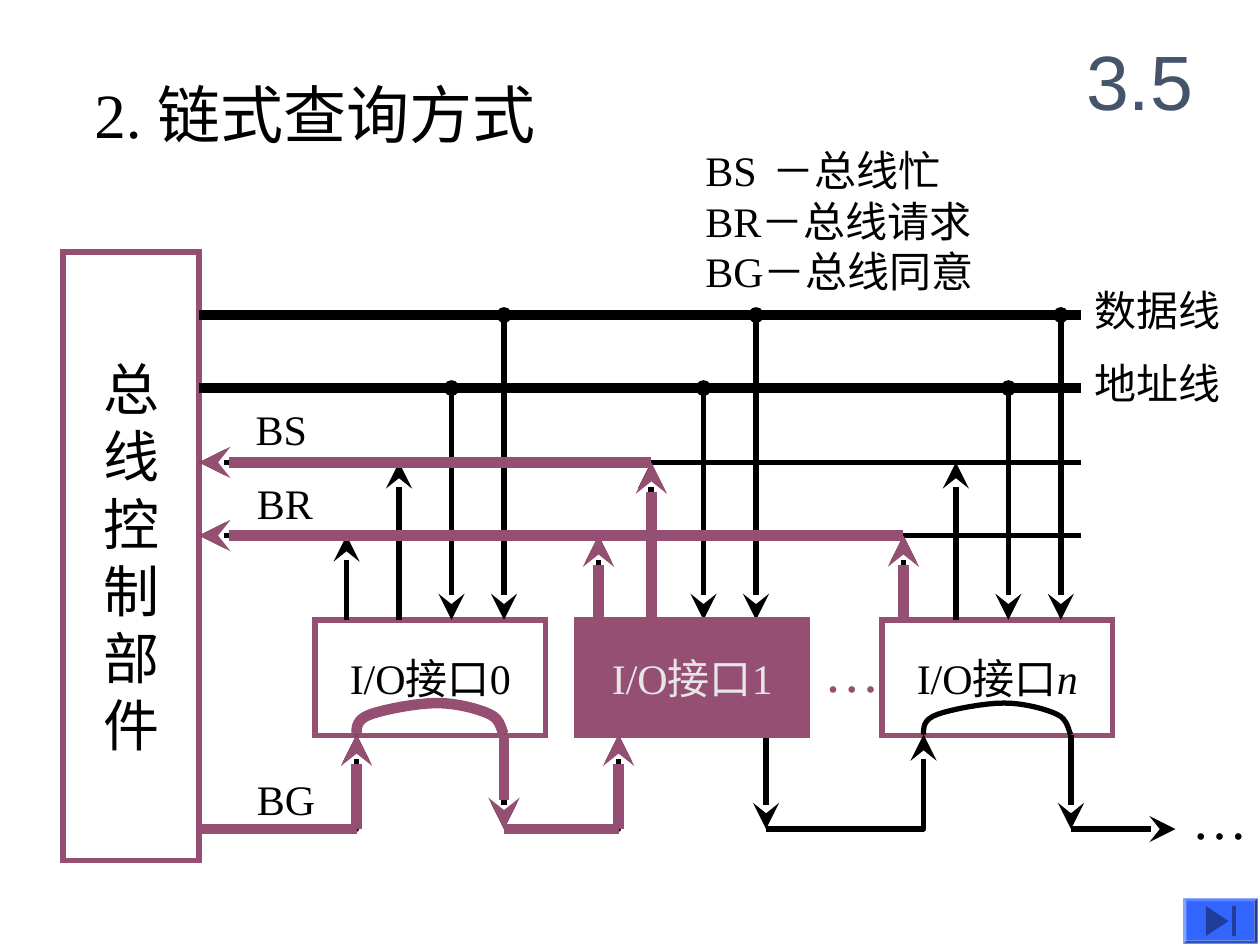
from dataclasses import dataclass
from typing import Optional

from lxml import etree
from pptx import Presentation
from pptx import util as u
from pptx.dml.color import RGBColor
from pptx.enum import shapes, text
from pptx.oxml.ns import qn


@dataclass(frozen=True)
class Theme:
    ink: str = "000000"
    accent: str = "954F72"
    pale: str = "E7E6E6"
    section: str = "44546A"
    button: str = "3366FF"
    button_icon: str = "1F3D99"
    serif: str = "Times New Roman"
    sans: str = "Arial"
    label: int = 24
    large: int = 32
    title: int = 36
    section_size: int = 44
    thin: float = 3
    thick: float = 6


THEME = Theme()
Point = tuple[float, float]


@dataclass(frozen=True)
class Wire:
    points: tuple[Point, ...]
    color: str = THEME.ink
    width: float = THEME.thin
    start: Optional[str] = None
    end: Optional[str] = "stealth"


@dataclass(frozen=True)
class Label:
    lines: tuple[str, ...]
    left: float
    top: float
    width: float
    height: float
    size: int = THEME.label
    color: str = THEME.ink
    font: str = THEME.serif
    centred: bool = False
    wrap: bool = False


@dataclass(frozen=True)
class Interface:
    number: str
    left: float
    first_wire: float


DATA, ADDRESS, BUSY, REQUEST = 2.5, 3.08, 3.67, 4.25
PORT_TOP, PORT_BOTTOM, GRANT = 4.92, 5.83, 6.58
PORT_WIDTH, PORT_HEIGHT = 1.83, 0.92
CONTROL_EDGE, BUS_END = 1.58, 8.58
GRANT_IN, GRANT_OUT = 0.33, 1.5
INTERFACES = (
    Interface("0", 2.5, 2.75),
    Interface("1", 4.58, 4.75),
    Interface("n", 7, 7.17),
)
ARC = (
    ((0, 0), (0, -0.06), (0, -0.12), (0.11, -0.16)),
    ((0.11, -0.16), (0.22, -0.2), (0.48, -0.25), (0.64, -0.25)),
    ((0.64, -0.25), (0.8, -0.25), (0.98, -0.2), (1.06, -0.16)),
    ((1.06, -0.16), (1.15, -0.12), (1.15, -0.02), (1.17, 0)),
)


def rgb(color: str) -> RGBColor:
    return RGBColor.from_string(color)


def bezier(curve: tuple[Point, ...], t: float) -> Point:
    weights = ((1 - t) ** 3, 3 * t * (1 - t) ** 2, 3 * t * t * (1 - t), t ** 3)
    return tuple(sum(w * p[axis] for w, p in zip(weights, curve)) for axis in (0, 1))


def arc_points(left: float) -> tuple[Point, ...]:
    steps = 8
    offsets = [ARC[0][0]] + [bezier(c, i / steps) for c in ARC for i in range(1, steps + 1)]
    return tuple((left + x, PORT_BOTTOM + y) for x, y in offsets)


def draw_wire(slide, wire: Wire) -> None:
    points = [(u.Inches(x), u.Inches(y)) for x, y in wire.points]
    if len(points) == 2:
        stroke = slide.shapes.add_connector(shapes.MSO_CONNECTOR.STRAIGHT, *points[0], *points[1])
        etree.SubElement(stroke._element.spPr, qn("a:effectLst"))
    else:
        builder = slide.shapes.build_freeform(*points[0])
        builder.add_line_segments(points[1:], close=False)
        stroke = builder.convert_to_shape()
        stroke.fill.background()
        stroke.shadow.inherit = False
    stroke.line.color.rgb = rgb(wire.color)
    stroke.line.width = u.Pt(wire.width)
    ln = stroke._element.spPr.find(qn("a:ln"))
    for tag, kind in (("a:headEnd", wire.start), ("a:tailEnd", wire.end)):
        if kind:
            large = kind == "stealth" and wire.width == THEME.thin
            scale = "lg" if large else "med"
            etree.SubElement(ln, qn(tag), type=kind, w=scale, len=scale)


def write_lines(frame, label: Label) -> None:
    frame.word_wrap = label.wrap
    if label.centred:
        frame.vertical_anchor = text.MSO_ANCHOR.MIDDLE
    for index, line in enumerate(label.lines):
        paragraph = frame.add_paragraph() if index else frame.paragraphs[0]
        paragraph.add_run().text = line
        paragraph.alignment = text.PP_ALIGN.CENTER if label.centred else text.PP_ALIGN.LEFT
        paragraph.font.name = label.font
        paragraph.font.size = u.Pt(label.size)
        paragraph.font.color.rgb = rgb(label.color)


def draw_label(slide, label: Label):
    area = map(u.Inches, (label.left, label.top, label.width, label.height))
    frame = slide.shapes.add_textbox(*area).text_frame
    write_lines(frame, label)
    if not label.centred:
        frame.auto_size = text.MSO_AUTO_SIZE.SHAPE_TO_FIT_TEXT
    return frame


def draw_block(slide, kind, area, fill: Optional[str] = None, line: Optional[str] = None):
    block = slide.shapes.add_shape(kind, *map(u.Inches, area))
    block.shadow.inherit = False
    if fill:
        block.fill.solid()
        block.fill.fore_color.rgb = rgb(fill)
    else:
        block.fill.background()
    if line:
        block.line.color.rgb = rgb(line)
        block.line.width = u.Pt(THEME.thin)
        etree.SubElement(block._element.spPr.find(qn("a:ln")), qn("a:miter"), lim="800000")
    else:
        block.line.fill.background()
    return block


def draw_box(slide, label: Label, fill: Optional[str] = None):
    area = (label.left, label.top, label.width, label.height)
    box = draw_block(slide, shapes.MSO_SHAPE.RECTANGLE, area, fill, THEME.accent)
    write_lines(box.text_frame, label)
    return box.text_frame


def draw_interface(slide, port: Interface, active: bool = False) -> None:
    caption = "I/O接口" if port.number == "n" else f"I/O接口{port.number}"
    label = Label((caption,), port.left, PORT_TOP, PORT_WIDTH, PORT_HEIGHT,
                  color=THEME.pale if active else THEME.ink, centred=True)
    frame = draw_box(slide, label, THEME.accent if active else None)
    if port.number == "n":
        index = frame.paragraphs[0].add_run()
        index.text = port.number
        index.font.italic = True


def interface_wires(port: Interface) -> list[Wire]:
    request, busy, address, data = (port.first_wire + i * 1.25 / 3 for i in range(4))
    return [
        Wire(((request, PORT_TOP), (request, REQUEST))),
        Wire(((busy, PORT_TOP), (busy, BUSY))),
        Wire(((address, ADDRESS), (address, PORT_TOP)), start="oval"),
        Wire(((data, DATA), (data, PORT_TOP)), start="oval"),
    ]


def draw_button(slide) -> None:
    bevel = draw_block(slide, shapes.MSO_SHAPE.BEVEL, (9.39, 7.13, 0.59, 0.36), THEME.button)
    bevel.adjustments[0] = 0.07
    arrow = draw_block(slide, shapes.MSO_SHAPE.ISOSCELES_TRIANGLE, (9.54, 7.22, 0.24, 0.18),
                       THEME.button_icon)
    arrow.rotation = 90
    draw_block(slide, shapes.MSO_SHAPE.RECTANGLE, (9.78, 7.19, 0.03, 0.24), THEME.button_icon)


def main() -> None:
    deck = Presentation()
    deck.slide_width, deck.slide_height = u.Inches(10), u.Inches(7.5)
    slide = deck.slides.add_slide(deck.slide_layouts[6])
    first, second, last = INTERFACES
    grants_in = [port.left + GRANT_IN for port in INTERFACES]
    grants_out = [port.left + GRANT_OUT for port in INTERFACES]

    draw_box(slide, Label(tuple("总线控制部件"), 0.5, 2, 1.08, 4.83, THEME.large, centred=True))
    for port in (first, last):
        draw_interface(slide, port)

    wires = [Wire(((CONTROL_EDGE, y), (BUS_END, y)), width=THEME.thick, end=None)
             for y in (DATA, ADDRESS)]
    wires += [Wire(((BUS_END, y), (CONTROL_EDGE, y))) for y in (BUSY, REQUEST)]
    wires += [wire for port in INTERFACES for wire in interface_wires(port)]
    wires += [Wire(((start, GRANT), (x, GRANT), (x, PORT_BOTTOM)))
              for start, x in zip([CONTROL_EDGE] + grants_out, grants_in)]
    wires += [Wire(((x, PORT_BOTTOM), (x, GRANT))) for x in grants_out]
    wires += [Wire(arc_points(grants_in[i]), end=None) for i in (0, 2)]
    wires.append(Wire(((grants_out[2], GRANT), (9.33, GRANT))))

    busy = second.first_wire + 0.42
    arrows = [((busy, BUSY), (CONTROL_EDGE, BUSY)),
              ((last.first_wire, REQUEST), (CONTROL_EDGE, REQUEST)),
              ((busy, PORT_TOP), (busy, BUSY)),
              ((grants_out[0], PORT_BOTTOM), (grants_out[0], GRANT))]
    arrows += [((port.first_wire, PORT_TOP), (port.first_wire, REQUEST)) for port in (second, last)]
    arrows += [((x, GRANT), (x, PORT_BOTTOM)) for x in grants_in[:2]]
    plain = [((CONTROL_EDGE, GRANT), (grants_in[0], GRANT)),
             ((grants_out[0], GRANT), (grants_in[1], GRANT)),
             arc_points(grants_in[0])]
    wires += [Wire(points, THEME.accent, THEME.thick) for points in arrows]
    wires += [Wire(points, THEME.accent, THEME.thick, end=None) for points in plain]
    for wire in wires:
        draw_wire(slide, wire)
    draw_interface(slide, second, active=True)

    for label in (
        Label(("2. 链式查询方式",), 0.65, 0.55, 4.82, 0.7, THEME.title, wrap=True),
        Label(("3.5",), 8.42, 0.17, 1.25, 0.92, THEME.section_size, THEME.section, THEME.sans,
              centred=True, wrap=True),
        Label(("BS",), 1.93, 3.15, 0.61, 0.5),
        Label(("BR",), 1.94, 3.74, 0.66, 0.5),
        Label(("BG",), 1.94, 6.09, 0.66, 0.5),
        Label(("数据线",), 8.59, 2.21, 1.2, 0.5),
        Label(("地址线",), 8.59, 2.79, 1.2, 0.5),
        Label(("…",), 6.44, 5, 0.64, 0.64, THEME.large, THEME.accent),
        Label(("…",), 9.36, 6.17, 0.64, 0.64, THEME.large),
    ):
        draw_label(slide, label)
    legend = draw_label(slide, Label(("BS", "BR－总线请求", "BG－总线同意"), 5.5, 1.1, 2.97, 1.3, wrap=True))
    for words, size in (("  ", 18), ("－总线忙", THEME.label)):
        run = legend.paragraphs[0].add_run()
        run.text = words
        run.font.size = u.Pt(size)
    draw_button(slide)
    deck.save("out.pptx")


if __name__ == "__main__":
    main()
